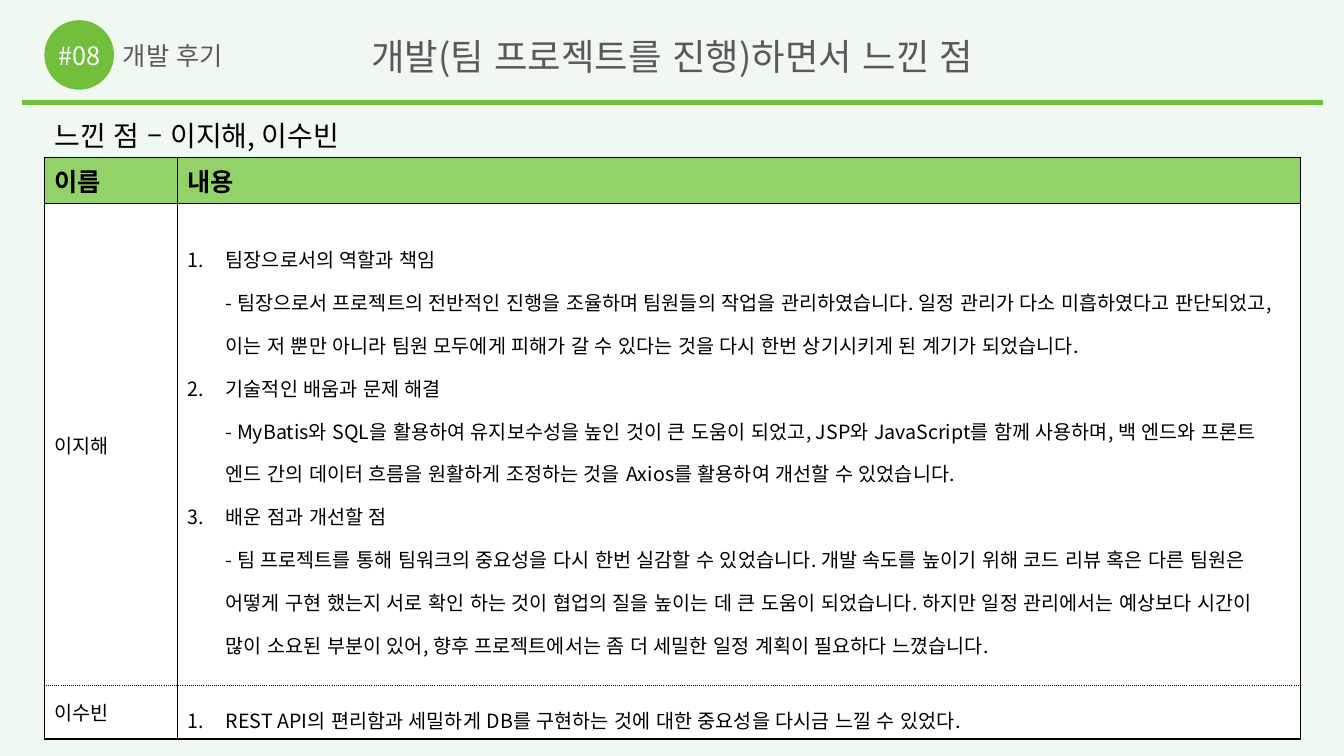
"""Build the project review slide with its table of impressions."""
import dataclasses

import pptx
import pptx.dml.color
import pptx.enum.lang
import pptx.enum.shapes
import pptx.enum.text
import pptx.oxml
import pptx.oxml.ns
import pptx.util

Inches = pptx.util.Inches
Align = pptx.enum.text.PP_ALIGN
Anchor = pptx.enum.text.MSO_ANCHOR
Shape = pptx.enum.shapes.MSO_SHAPE


@dataclasses.dataclass(frozen=True)
class Theme:
    """Colours, type sizes and font of the slide."""
    font: str = "Noto Sans CJK KR"
    back: str = "F0F9F1"
    green: str = "72BF3B"
    head: str = "93D169"
    grey: str = "595959"
    black: str = "000000"
    white: str = "FFFFFF"
    title: int = 26
    sub: int = 20
    label: int = 18
    body: int = 14


THEME = Theme()

ROWS = [
    ("이지해", [
        ["팀장으로서의 역할과 책임",
         "- 팀장으로서 프로젝트의 전반적인 진행을 조율하며 팀원들의 작업을 관리하였습니다. "
         "일정 관리가 다소 미흡하였다고 판단되었고, ",
         "이는 저 뿐만 아니라 팀원 모두에게 피해가 갈 수 있다는 것을 "
         "다시 한번 상기시키게 된 계기가 되었습니다."],
        ["기술적인 배움과 문제 해결",
         "- MyBatis와 SQL을 활용하여 유지보수성을 높인 것이 큰 도움이 되었고, "
         "JSP와 JavaScript를 함께 사용하며, 백 엔드와 프론트 엔드 간의 데이터 흐름을 "
         "원활하게 조정하는 것을 Axios를 활용하여 개선할 수 있었습니다."],
        ["배운 점과 개선할 점",
         "- 팀 프로젝트를 통해 팀워크의 중요성을 다시 한번 실감할 수 있었습니다. "
         "개발 속도를 높이기 위해 코드 리뷰 혹은 다른 팀원은 어떻게 구현 했는지 "
         "서로 확인 하는 것이 협업의 질을 높이는 데 큰 도움이 되었습니다. "
         "하지만 일정 관리에서는 예상보다 시간이 많이 소요된 부분이 있어, "
         "향후 프로젝트에서는 좀 더 세밀한 일정 계획이 필요하다 느꼈습니다."],
    ]),
    ("이수빈", [
        ["REST API의 편리함과 세밀하게 DB를 구현하는 것에 대한 중요성을 "
         "다시금 느낄 수 있었다."],
    ]),
]


def paint(fill, tone):
    """Give a fill one solid colour."""
    fill.solid()
    fill.fore_color.rgb = pptx.dml.color.RGBColor.from_string(tone)


def add_run(para, text, size, tone, bold=False):
    """Add one styled run to a paragraph."""
    run = para.add_run()
    run.text = text
    font = run.font
    font.size = pptx.util.Pt(size)
    font.bold = bold
    font.name = THEME.font
    font.language_id = pptx.enum.lang.MSO_LANGUAGE_ID.KOREAN
    paint(font.fill, tone)
    east = pptx.oxml.ns.qn("a:ea")
    font._element.find(pptx.oxml.ns.qn("a:latin")).addnext(
        font._element.makeelement(east, {"typeface": THEME.font}))


def set_text(frame, text, size, tone, align=Align.LEFT, inset=0):
    """Write one line of text in the middle of a frame."""
    frame.word_wrap = True
    frame.auto_size = pptx.enum.text.MSO_AUTO_SIZE.NONE
    frame.vertical_anchor = Anchor.MIDDLE
    frame.margin_left = frame.margin_right = Inches(inset)
    frame.margin_top = frame.margin_bottom = Inches(inset / 2)
    para = frame.paragraphs[0]
    para.alignment = align
    para.line_spacing = 1.0
    add_run(para, text, size, tone)


def add_title(slide, text, box):
    """Place and fill the title placeholder."""
    title = slide.shapes.title
    title.left, title.top, title.width, title.height = map(Inches, box)
    set_text(title.text_frame, text, THEME.title, THEME.grey, Align.CENTER)


def add_label(slide, text, box, size, tone, inset=0):
    """Add a text box."""
    label = slide.shapes.add_textbox(*map(Inches, box))
    set_text(label.text_frame, text, size, tone, inset=inset)


def add_block(slide, kind, box):
    """Add a plain green shape."""
    block = slide.shapes.add_shape(kind, *map(Inches, box))
    block.shadow.inherit = False
    block.line.fill.background()
    paint(block.fill, THEME.green)
    return block


def set_edges(cell, top, low):
    """Draw the four borders of a cell with the given dashes."""
    dashes = {"L": "solid", "R": "solid", "T": top, "B": low}
    for spot, (side, dash) in enumerate(dashes.items()):
        edge = pptx.oxml.parse_xml(
            f'<a:ln{side} {pptx.oxml.ns.nsdecls("a")} w="12700">'
            f'<a:solidFill><a:srgbClr val="{THEME.black}"/></a:solidFill>'
            f'<a:prstDash val="{dash}"/></a:ln{side}>')
        cell._tc.get_or_add_tcPr().insert(spot, edge)


def add_item(para, lines):
    """Write a numbered item, its lines parted by breaks."""
    para.line_spacing = 1.5
    props = para._p.get_or_add_pPr()
    props.set("marL", str(Inches(0.38)))
    props.set("indent", str(-Inches(0.38)))
    props.append(pptx.oxml.parse_xml(
        f'<a:buAutoNum {pptx.oxml.ns.nsdecls("a")} type="arabicPeriod"/>'))
    for spot, line in enumerate(lines):
        if spot:
            para.add_line_break()
        add_run(para, line, THEME.body, THEME.black)


def add_grid(slide, box, widths, heights):
    """Add the table of names and impressions."""
    grid = slide.shapes.add_table(
        len(heights), len(widths), *map(Inches, box)).table
    grid.first_row = grid.horz_banding = False
    for col, width in zip(grid.columns, widths):
        col.width = Inches(width)
    for row, height in zip(grid.rows, heights):
        row.height = Inches(height)
    for cell, text in zip(grid.rows[0].cells, ("이름", "내용")):
        paint(cell.fill, THEME.head)
        set_edges(cell, "solid", "solid")
        add_run(cell.text_frame.paragraphs[0], text,
                THEME.label, THEME.black, True)
    for spot, (name, items) in enumerate(ROWS, 1):
        top = "solid" if spot == 1 else "sysDot"
        low = "solid" if spot == len(ROWS) else "sysDot"
        for cell in grid.rows[spot].cells:
            paint(cell.fill, THEME.white)
            set_edges(cell, top, low)
            cell.vertical_anchor = Anchor.MIDDLE
        left, right = (cell.text_frame for cell in grid.rows[spot].cells)
        add_run(left.paragraphs[0], name, THEME.body, THEME.black)
        for order, lines in enumerate(items):
            para = right.add_paragraph() if order else right.paragraphs[0]
            add_item(para, lines)


def main():
    """Build and save the slide."""
    deck = pptx.Presentation()
    deck.slide_width, deck.slide_height = Inches(13.33), Inches(7.5)
    slide = deck.slides.add_slide(deck.slide_layouts[5])
    paint(slide.background.fill, THEME.back)
    add_title(slide, "개발(팀 프로젝트를 진행)하면서 느낀 점", (2.53, 0.3, 8.28, 0.51))
    badge = add_block(slide, Shape.OVAL, (0.44, 0.2, 0.69, 0.69))
    set_text(badge.text_frame, "#08", THEME.label, THEME.white, Align.CENTER)
    badge.text_frame.word_wrap = False
    add_block(slide, Shape.RECTANGLE, (0.22, 0.99, 12.9, 0.05))
    add_label(slide, "개발 후기", (1.22, 0.4, 2.36, 0.3), THEME.label, THEME.grey)
    add_grid(slide, (0.44, 1.56, 12.46, 5.77), (1.32, 11.14), (0.46, 4.78, 0.53))
    add_label(slide, "느낀 점 – 이지해, 이수빈", (0.44, 1.12, 5.26, 0.44),
              THEME.sub, THEME.black, 0.1)
    deck.save("out.pptx")


if __name__ == "__main__":
    main()
